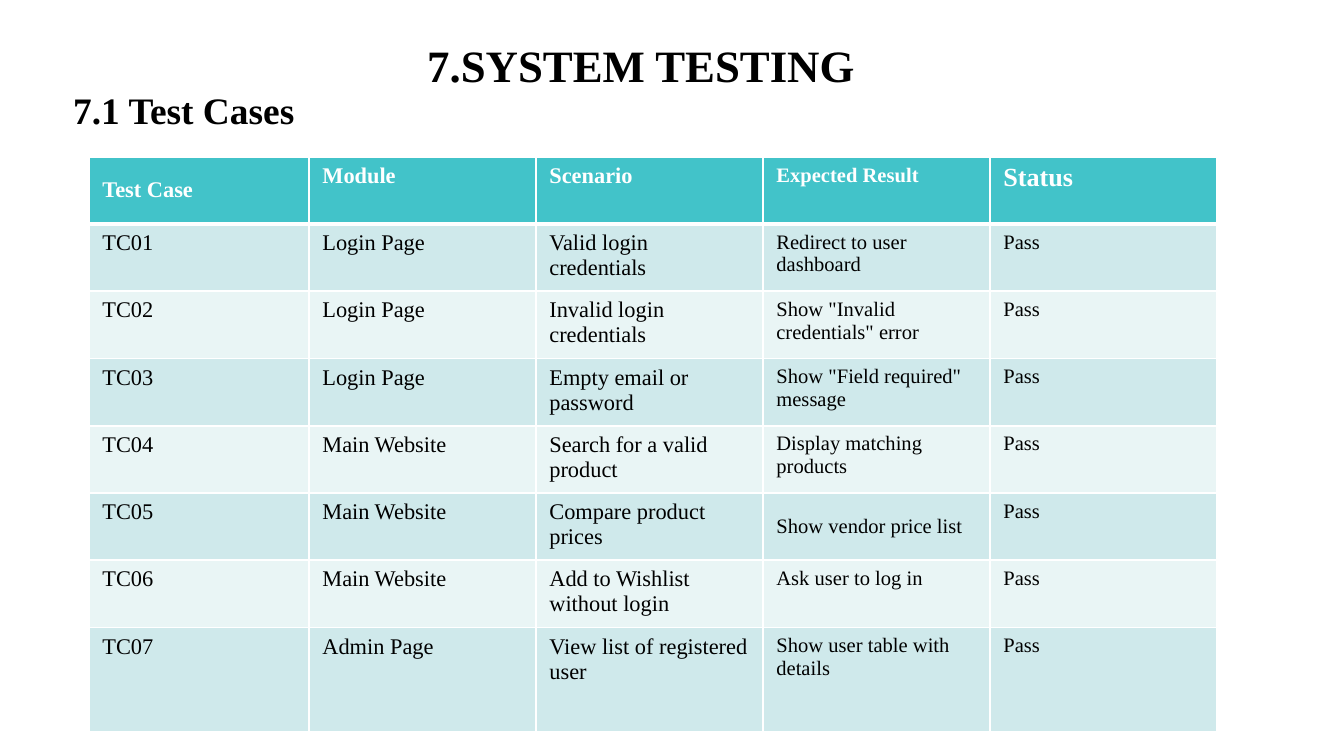
import pptx
import pptx.util
import pptx.dml.color
import pptx.enum.text
import pptx.oxml.ns
import lxml.etree
from dataclasses import dataclass

EMU_PER_PX = 914400 / 134.4
ANCHOR = pptx.enum.text.MSO_ANCHOR


@dataclass(frozen=True)
class Theme:
    face: str = "Times New Roman"
    ink: str = "000000"
    white: str = "FFFFFF"
    header: str = "42C3C9"
    bands: tuple = ("CFE9EB", "E9F5F5")
    title_size: int = 24
    subtitle_size: int = 20
    header_sizes: tuple = (12, 12, 12, 11, 14)
    body_sizes: tuple = (12, 12, 12, 11, 11)
    rule: int = 1
    header_rule: int = 3


THEME = Theme()
HEADINGS = ("Test Case", "Module", "Scenario", "Expected Result", "Status")
TEST_CASES = (
    ("Login Page", "Valid login credentials", "Redirect to user dashboard"),
    ("Login Page", "Invalid login credentials", 'Show "Invalid credentials" error'),
    ("Login Page", "Empty email or password", 'Show "Field required" message'),
    ("Main Website", "Search for a valid product", "Display matching products"),
    ("Main Website", "Compare product prices", "Show vendor price list"),
    ("Main Website", "Add to Wishlist without login", "Ask user to log in"),
    ("Admin Page", "View list of registered user", "Show user table with details"),
)
COLUMN_WIDTHS = (220, 227, 227, 227, 227)
ROW_HEIGHTS = (67,) * 7 + (104,)
MIDDLE_CELLS = {(0, 0), (5, 3)}


def px(length):
    return pptx.util.Emu(round(length * EMU_PER_PX))


def rgb(colour):
    return pptx.dml.color.RGBColor.from_string(colour)


def write(frame, wording, size, colour, bold):
    paragraph = frame.paragraphs[0]
    run = paragraph.add_run()
    run.text = wording
    font_format = {"name": THEME.face, "size": pptx.util.Pt(size), "bold": bold}
    for attribute, setting in font_format.items():
        setattr(run.font, attribute, setting)
    run.font.color.rgb = rgb(colour)


def add_heading(slide, wording, bounds, size, anchor):
    heading = slide.shapes.add_textbox(*map(px, bounds))
    frame_format = {"word_wrap": True, "vertical_anchor": anchor}
    for attribute, setting in frame_format.items():
        setattr(heading.text_frame, attribute, setting)
    write(heading.text_frame, wording, size, THEME.ink, True)


def set_borders(cell, widths):
    properties = cell._tc.get_or_add_tcPr()
    qn = pptx.oxml.ns.qn
    for position, (side, width) in enumerate(widths.items()):
        border = lxml.etree.Element(qn(f"a:ln{side}"), w=str(pptx.util.Pt(width)))
        fill = lxml.etree.SubElement(border, qn("a:solidFill"))
        lxml.etree.SubElement(fill, qn("a:srgbClr"), val=THEME.white)
        properties.insert(position, border)


def fill_cell(cell, wording, row, column):
    is_header = row == 0
    sizes = THEME.header_sizes if is_header else THEME.body_sizes
    colour = THEME.white if is_header else THEME.ink
    write(cell.text_frame, wording, sizes[column], colour, is_header)
    centred = (row, column) in MIDDLE_CELLS
    cell.vertical_anchor = ANCHOR.MIDDLE if centred else ANCHOR.TOP
    cell.fill.solid()
    cell.fill.fore_color.rgb = rgb(THEME.header if is_header else THEME.bands[(row - 1) % 2])
    set_borders(cell, {
        "L": THEME.rule,
        "R": THEME.rule,
        "T": THEME.header_rule if row == 1 else THEME.rule,
        "B": THEME.header_rule if is_header else THEME.rule,
    })


def add_test_table(slide):
    records = [HEADINGS] + [
        (f"TC{number:02}", *case, "Pass") for number, case in enumerate(TEST_CASES, 1)
    ]
    bounds = (89, 157, sum(COLUMN_WIDTHS), sum(ROW_HEIGHTS))
    test_table = slide.shapes.add_table(
        len(records), len(HEADINGS), *map(px, bounds)
    ).table
    for column, width in zip(test_table.columns, COLUMN_WIDTHS):
        column.width = px(width)
    for row, height in zip(test_table.rows, ROW_HEIGHTS):
        row.height = px(height)
    for row, record in enumerate(records):
        for column, wording in enumerate(record):
            fill_cell(test_table.cell(row, column), wording, row, column)


def main():
    presentation = pptx.Presentation()
    presentation.slide_width = px(1344)
    presentation.slide_height = px(756)
    slide = presentation.slides.add_slide(presentation.slide_layouts[6])
    add_heading(slide, "7.SYSTEM TESTING", (414, 7, 774, 91),
                THEME.title_size, ANCHOR.BOTTOM)
    add_heading(slide, "7.1 Test Cases", (60, 81, 539, 59),
                THEME.subtitle_size, ANCHOR.TOP)
    add_test_table(slide)
    presentation.save("out.pptx")


if __name__ == "__main__":
    main()
